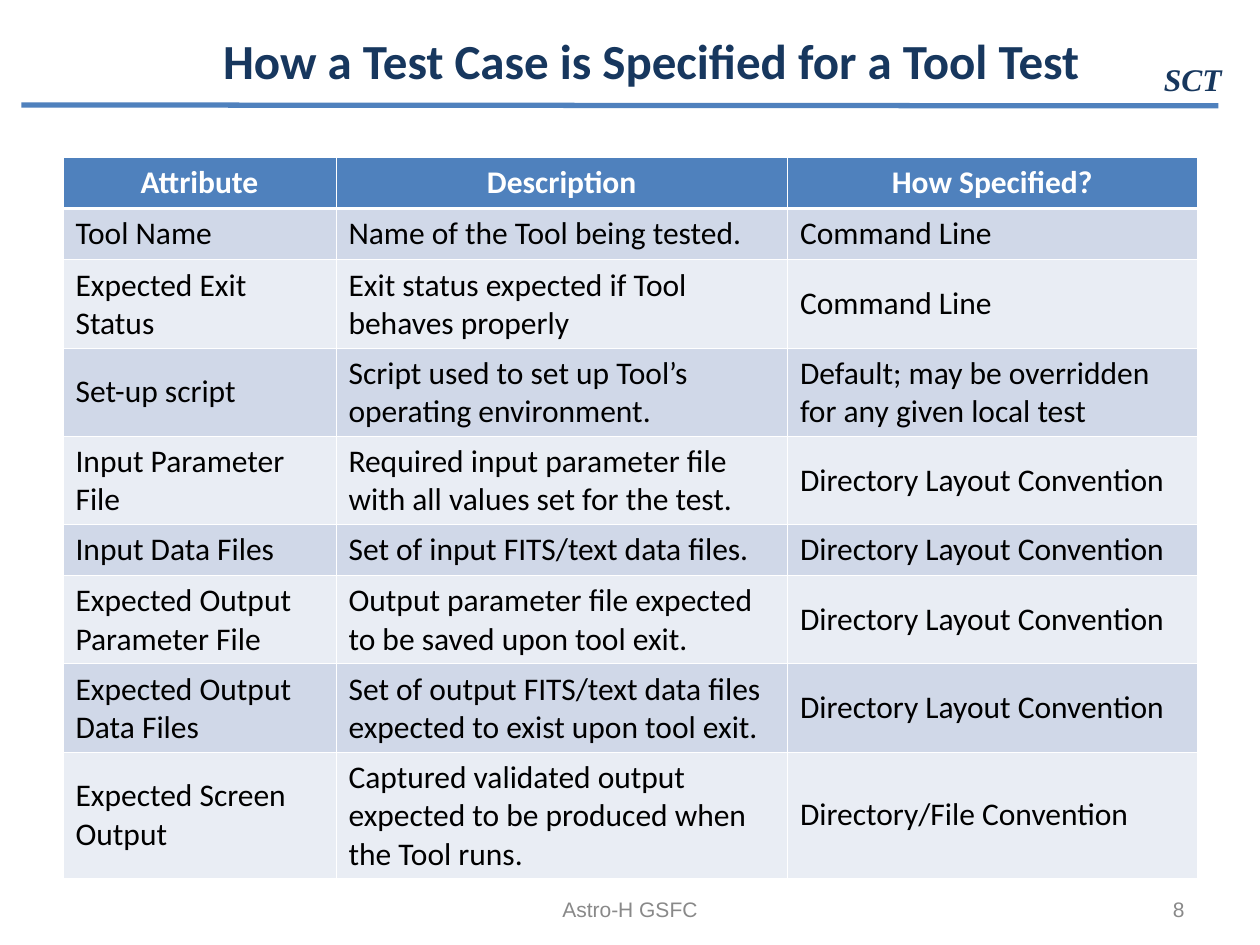
from dataclasses import dataclass

from lxml.etree import SubElement
from pptx import Presentation
from pptx.dml.color import RGBColor
from pptx.enum.shapes import MSO_CONNECTOR
from pptx.enum.text import MSO_ANCHOR, PP_ALIGN
from pptx.oxml.ns import qn
from pptx.util import Pt


@dataclass(frozen=True)
class Theme:
    navy: str = "17375E"
    blue: str = "4F81BD"
    gray: str = "898989"
    white: str = "FFFFFF"
    black: str = "000000"
    bands: tuple = ("D0D8E8", "E9EDF4")
    body_font: str = "Calibri"
    footer_font: str = "Arial"
    mark_font: str = "Times New Roman"
    title_size: float = 28
    body_size: float = 18
    footer_size: float = 12
    thin: float = 0.45
    thick: float = 1.47


class SlideBuilder:
    def __init__(self, slide, theme):
        self.slide = slide
        self.theme = theme

    def add_text(self, frame, text, align=PP_ALIGN.LEFT, color=None, **font):
        """Put one formatted paragraph into a text frame."""
        paragraph = frame.paragraphs[0]
        paragraph.alignment = align
        run = paragraph.add_run()
        run.text = text
        for name, value in font.items():
            setattr(run.font, name, value)
        run.font.color.rgb = RGBColor.from_string(color)

    def place(self, shape, box):
        for name, value in zip(("left", "top", "width", "height"), box):
            setattr(shape, name, Pt(value))

    def title(self, text, box):
        theme = self.theme
        heading = self.slide.shapes.title
        self.place(heading, box)
        heading.text_frame.vertical_anchor = MSO_ANCHOR.MIDDLE
        self.add_text(heading.text_frame, text, PP_ALIGN.CENTER, theme.navy,
                      name=theme.body_font, size=Pt(theme.title_size), bold=True)

    def label(self, text, box, align, color, anchor=MSO_ANCHOR.MIDDLE,
              wrap=True, **font):
        label = self.slide.shapes.add_textbox(*map(Pt, box))
        frame = label.text_frame
        frame.word_wrap = wrap
        frame.vertical_anchor = anchor
        self.add_text(frame, text, align, color, **font)

    def rule(self, start, end, color, width):
        rule = self.slide.shapes.add_connector(
            MSO_CONNECTOR.STRAIGHT, *map(Pt, start + end))
        rule.line.color.rgb = RGBColor.from_string(color)
        rule.line.width = Pt(width)
        SubElement(rule._element.spPr, qn("a:effectLst"))

    def cell_borders(self, cell, top, bottom):
        """Draw white edges; called before the fill so the order stays valid."""
        thin = self.theme.thin
        properties = cell._tc.get_or_add_tcPr()
        for edge, width in {"L": thin, "R": thin, "T": top, "B": bottom}.items():
            line = SubElement(properties, qn(f"a:ln{edge}"), w=str(Pt(width)))
            fill = SubElement(line, qn("a:solidFill"))
            SubElement(fill, qn("a:srgbClr"), val=self.theme.white)

    def table(self, rows, left, top, widths, heights):
        theme = self.theme
        table = self.slide.shapes.add_table(
            len(rows), len(widths),
            *map(Pt, (left, top, sum(widths), sum(heights)))).table
        table.horz_banding = False
        for column, width in zip(table.columns, widths):
            column.width = Pt(width)
        for r, (texts, height) in enumerate(zip(rows, heights)):
            table.rows[r].height = Pt(height)
            header = r == 0
            fill = theme.blue if header else theme.bands[(r - 1) % 2]
            for c, text in enumerate(texts):
                cell = table.cell(r, c)
                cell.vertical_anchor = MSO_ANCHOR.MIDDLE
                self.cell_borders(cell,
                                  top=theme.thick if r == 1 else theme.thin,
                                  bottom=theme.thick if header else theme.thin)
                cell.fill.solid()
                cell.fill.fore_color.rgb = RGBColor.from_string(fill)
                self.add_text(cell.text_frame, text,
                              PP_ALIGN.CENTER if header else PP_ALIGN.LEFT,
                              theme.white if header else theme.black,
                              name=theme.body_font, size=Pt(theme.body_size),
                              bold=header)


LAYOUT = "Directory Layout Convention"
ATTRIBUTES = [
    ("Attribute", "Description", "How Specified?"),
    ("Tool Name", "Name of the Tool being tested.", "Command Line"),
    ("Expected Exit Status", "Exit status expected if Tool behaves properly",
     "Command Line"),
    ("Set-up script", "Script used to set up Tool’s operating environment.",
     "Default; may be overridden for any given local test"),
    ("Input Parameter File",
     "Required input parameter file with all values set for the test.", LAYOUT),
    ("Input Data Files", "Set of input FITS/text data files.", LAYOUT),
    ("Expected Output Parameter File",
     "Output parameter file expected to be saved upon tool exit.", LAYOUT),
    ("Expected Output Data Files",
     "Set of output FITS/text data files expected to exist upon tool exit.",
     LAYOUT),
    ("Expected Screen Output",
     "Captured validated output expected to be produced when the Tool runs.",
     "Directory/File Convention"),
]
# Row heights by the number of text lines in the tallest cell
LINE_HEIGHTS = {1: 29.2, 2: 50.4, 3: 72}
ROW_LINES = (1, 1, 2, 2, 2, 1, 2, 2, 3)


def main():
    deck = Presentation()
    deck.slide_width, deck.slide_height = Pt(720), Pt(540)
    theme = Theme()
    builder = SlideBuilder(deck.slides.add_slide(deck.slide_layouts[5]), theme)

    # Header band
    builder.rule((12.2, 60), (696.2, 60.5), theme.blue, 3)
    builder.label("SCT", (658, 31, 47.5, 29), PP_ALIGN.LEFT, theme.navy,
                  anchor=MSO_ANCHOR.TOP, wrap=False, name=theme.mark_font,
                  size=Pt(theme.body_size), bold=True, italic=True)
    builder.title("How a Test Case is Specified for a Tool Test",
                  (48, 6, 648, 56))

    # Footer and page number
    footer_style = {"name": theme.footer_font, "size": Pt(theme.footer_size)}
    builder.label("Astro-H GSFC", (246, 510, 228, 19.5), PP_ALIGN.CENTER,
                  theme.gray, **footer_style)
    builder.label("8", (516, 510, 168, 19.5), PP_ALIGN.RIGHT,
                  theme.gray, **footer_style)

    # Test case attributes
    builder.table(ATTRIBUTES, 36, 90, widths=(156, 258, 234),
                  heights=[LINE_HEIGHTS[lines] for lines in ROW_LINES])

    deck.save("out.pptx")


if __name__ == "__main__":
    main()
